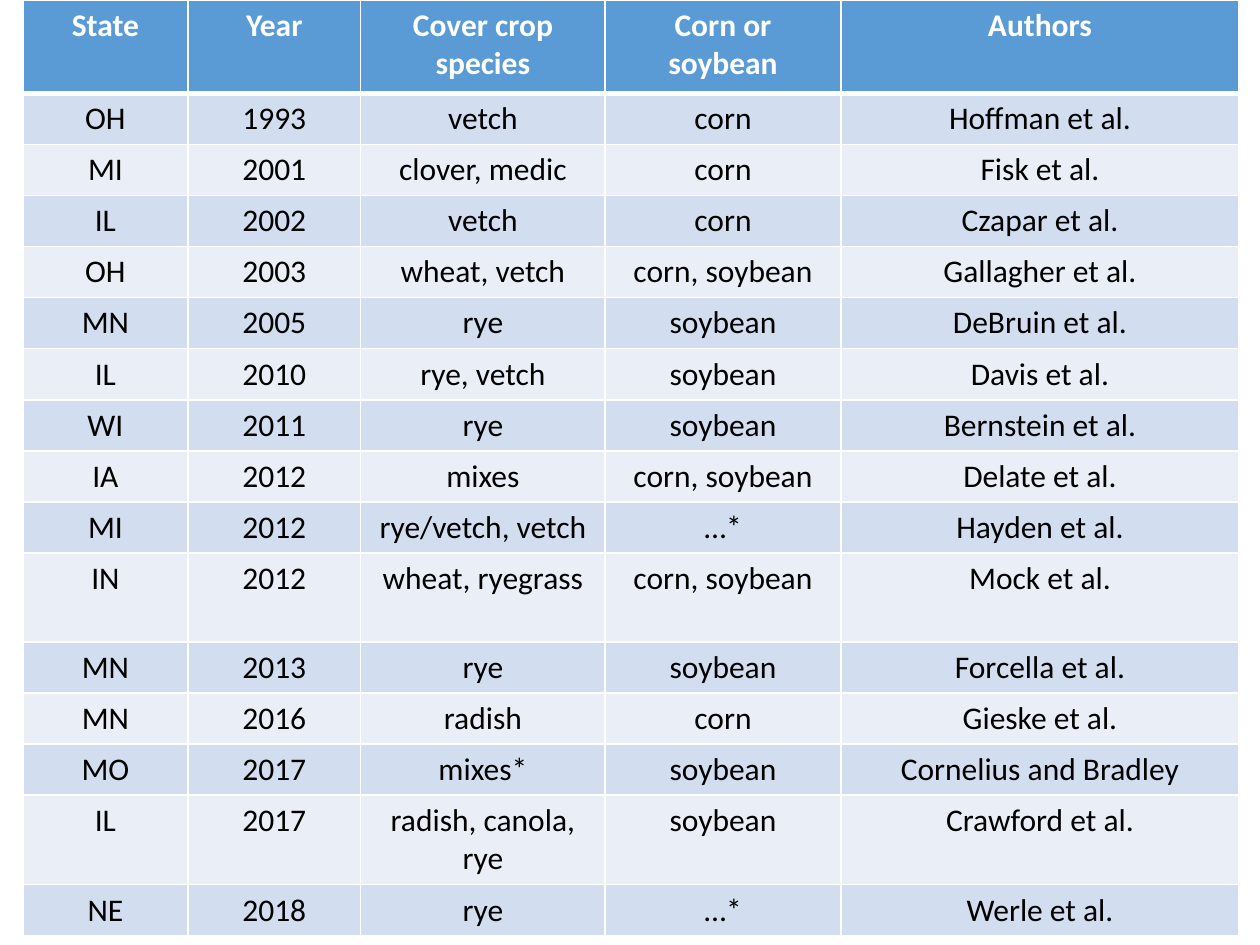
from lxml.etree import SubElement
from pptx import Presentation
from pptx.dml.color import RGBColor
from pptx.enum.text import PP_ALIGN as Align
from pptx.oxml.ns import qn
from pptx.util import Cm, Pt

HEAD = ["State", "Year", "Cover crop species", "Corn or soybean", "Authors"]
STUDIES = [
    ["OH", "1993", "vetch", "corn", "Hoffman et al."],
    ["MI", "2001", "clover, medic", "corn", "Fisk et al."],
    ["IL", "2002", "vetch", "corn", "Czapar et al."],
    ["OH", "2003", "wheat, vetch", "corn, soybean", "Gallagher et al."],
    ["MN", "2005", "rye", "soybean", "DeBruin et al."],
    ["IL", "2010", "rye, vetch", "soybean", "Davis et al."],
    ["WI", "2011", "rye", "soybean", "Bernstein et al."],
    ["IA", "2012", "mixes", "corn, soybean", "Delate et al."],
    ["MI", "2012", "rye/vetch, vetch", "…*", "Hayden et al."],
    ["IN", "2012", "wheat, ryegrass", "corn, soybean", "Mock et al."],
    ["MN", "2013", "rye", "soybean", "Forcella et al."],
    ["MN", "2016", "radish", "corn", "Gieske et al."],
    ["MO", "2017", "mixes*", "soybean", "Cornelius and Bradley"],
    ["IL", "2017", "radish, canola, rye", "soybean", "Crawford et al."],
    ["NE", "2018", "rye", "…*", "Werle et al."],
]
WIDTHS = [3.33, 3.48, 4.93, 4.75, 8.03]
TALL = {0: 1.88, 10: 1.79, 14: 1.79}
ROW = 1.03


def color(text):
    return RGBColor.from_string(text)


class Deck:
    font, size = "Calibri", Pt(18)
    white, black = "FFFFFF", "000000"
    blue, bands = "5B9BD5", ("EAEFF7", "D2DEEF")

    def __init__(self, wide, high):
        self.file = Presentation()
        self.file.slide_width, self.file.slide_height = Cm(wide), Cm(high)
        self.slide = self.file.slides.add_slide(self.file.slide_layouts[6])

    def table(self, left, top, rows, widths, heights):
        frame = self.slide.shapes.add_table(
            len(rows), len(widths), Cm(left), Cm(top),
            Cm(sum(widths)), Cm(sum(heights)))
        grid = frame.table
        grid.horz_banding = False
        for col, width in zip(grid.columns, widths):
            col.width = Cm(width)
        for r, (row, height) in enumerate(zip(rows, heights)):
            grid.rows[r].height = Cm(height)
            for c, text in enumerate(row):
                self.cell(grid.cell(r, c), text, r)

    def cell(self, cell, text, r):
        head = r == 0
        # The rule under the header belongs to both rows that share it.
        self.edges(cell, L=1, R=1, T=3 if r == 1 else 1, B=3 if head else 1)
        cell.fill.solid()
        cell.fill.fore_color.rgb = color(self.blue if head else self.bands[r % 2])
        para = cell.text_frame.paragraphs[0]
        para.alignment = Align.CENTER
        run = para.add_run()
        run.text = text
        font = run.font
        font.name, font.size, font.bold = self.font, self.size, head
        font.color.rgb = color(self.white if head else self.black)

    def edges(self, cell, **sides):
        """Draw cell borders, each side given in points."""
        props = cell._tc.get_or_add_tcPr()
        for side, width in sides.items():
            line = SubElement(props, qn("a:ln" + side), w=str(Pt(width)))
            fill = SubElement(line, qn("a:solidFill"))
            SubElement(fill, qn("a:srgbClr"), val=self.white)


def main():
    deck = Deck(25.4, 19.05)
    rows = [HEAD] + STUDIES
    heights = [TALL.get(r, ROW) for r in range(len(rows))]
    deck.table(0.46, 0, rows, WIDTHS, heights)
    deck.file.save("out.pptx")


if __name__ == "__main__":
    main()
